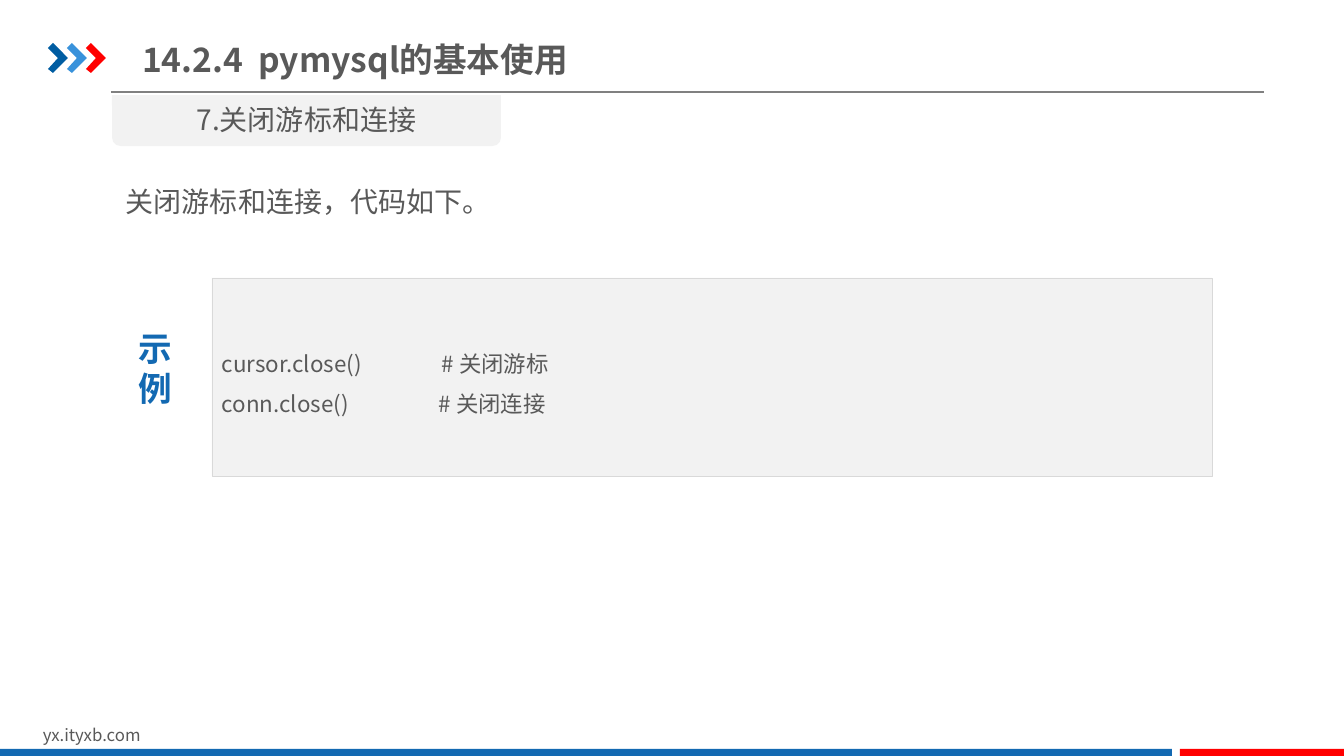
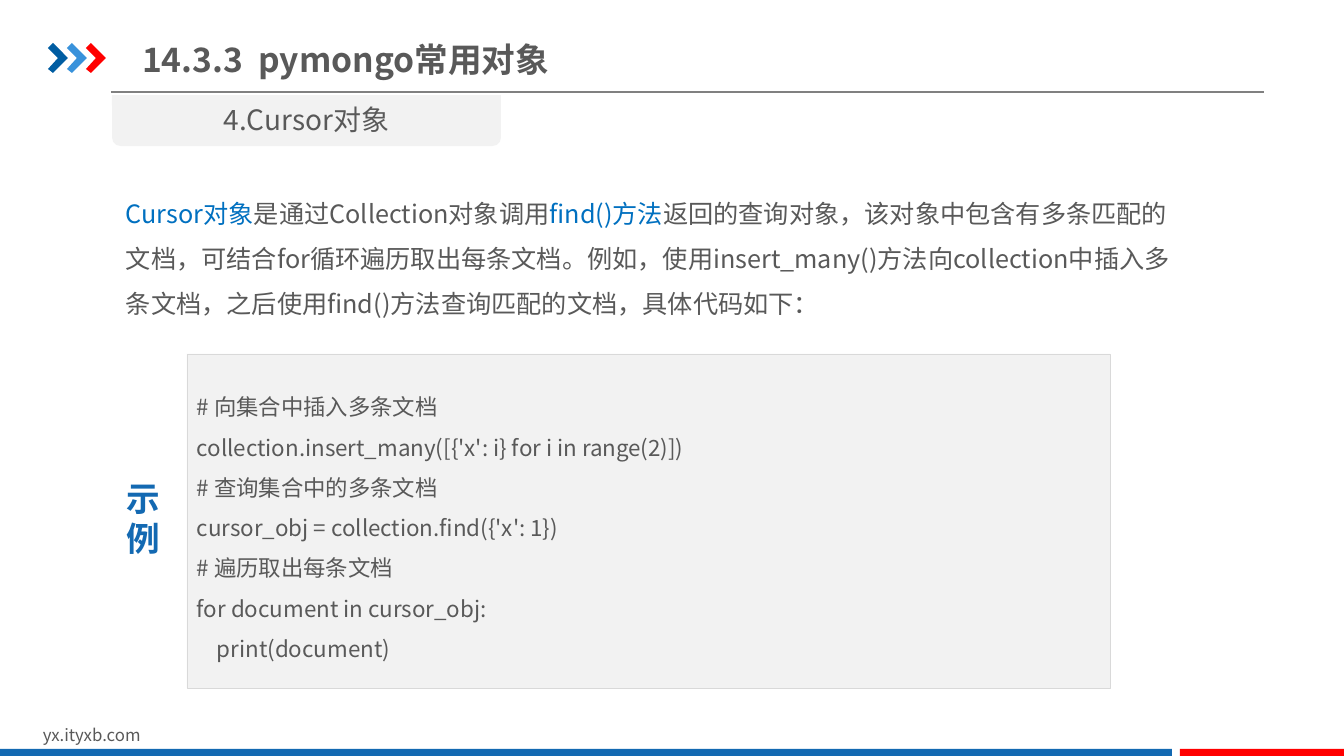
from dataclasses import dataclass

from lxml import etree
from pptx import Presentation
from pptx.dml.color import RGBColor
from pptx.enum.shapes import MSO_CONNECTOR, MSO_SHAPE
from pptx.enum.text import MSO_ANCHOR, MSO_AUTO_SIZE, PP_ALIGN
from pptx.oxml.ns import qn
from pptx.util import Emu, Pt

EMU_PER_PX = 914400 / 100.8
FONT = "Noto Sans CJK SC"

RECTANGLE = MSO_SHAPE.RECTANGLE
ROUND_TOP = MSO_SHAPE.ROUND_2_SAME_RECTANGLE
STRAIGHT = MSO_CONNECTOR.STRAIGHT
TOP, MIDDLE = MSO_ANCHOR.TOP, MSO_ANCHOR.MIDDLE
LEFT, CENTER = PP_ALIGN.LEFT, PP_ALIGN.CENTER
NO_AUTOSIZE = MSO_AUTO_SIZE.NONE

TEXT_GRAY = RGBColor(0x59, 0x59, 0x59)
PANEL_GRAY = RGBColor(0xF2, 0xF2, 0xF2)
BORDER_GRAY = RGBColor(0xD9, 0xD9, 0xD9)
RULE_GRAY = RGBColor(0x80, 0x80, 0x80)
BRIGHT_BLUE = RGBColor(0x13, 0x69, 0xB2)
TERM_BLUE = RGBColor(0x00, 0x70, 0xC0)
DARK_BLUE = RGBColor(0x00, 0x5D, 0xA2)
LIGHT_BLUE = RGBColor(0x39, 0x92, 0xDB)
RED = RGBColor(0xFF, 0x00, 0x00)

CHEVRON_OUTLINE = ((48, 48), (53, 43), (68, 58), (53, 73), (48, 69), (58, 58))
CHEVRON_COLORS = (DARK_BLUE, LIGHT_BLUE, RED)
CHEVRON_STEP = 19


@dataclass(frozen=True)
class Area:
    left: int
    top: int
    width: int
    height: int

    def emu(self) -> tuple:
        return tuple(px(n) for n in (self.left, self.top, self.width, self.height))


@dataclass(frozen=True)
class Span:
    text: str
    color: RGBColor = TEXT_GRAY


@dataclass(frozen=True)
class Lesson:
    title: str
    topic: str
    intro: tuple
    intro_size: int
    intro_area: Area
    code: tuple
    code_area: Area
    label_area: Area


TITLE_AREA = Area(132, 29, 545, 61)
TAB_AREA = Area(112, 95, 389, 51)
TOPIC_AREA = Area(112, 98, 389, 44)
FOOTER_AREA = Area(33, 720, 321, 30)
BANDS = ((Area(0, 749, 1172, 7), BRIGHT_BLUE), (Area(1180, 749, 164, 7), RED))

LESSONS = (
    Lesson(
        title="14.2.4  pymysql的基本使用",
        topic="7.关闭游标和连接",
        intro=(Span("关闭游标和连接，代码如下。"),),
        intro_size=20,
        intro_area=Area(116, 163, 1065, 62),
        code=(
            "cursor.close()                # 关闭游标",
            "conn.close()                  # 关闭连接",
        ),
        code_area=Area(212, 278, 1000, 198),
        label_area=Area(112, 323, 87, 97),
    ),
    Lesson(
        title="14.3.3  pymongo常用对象",
        topic="4.Cursor对象",
        intro=(
            Span("Cursor对象", TERM_BLUE),
            Span("是通过Collection对象调用"),
            Span("find()方法", TERM_BLUE),
            Span(
                "返回的查询对象，该对象中包含有多条匹配的文档，可结合for循环遍历取出每条文档。"
                "例如，使用insert_many()方法向collection中插入多条文档，"
                "之后使用find()方法查询匹配的文档，具体代码如下："
            ),
        ),
        intro_size=18,
        intro_area=Area(116, 178, 1079, 153),
        code=(
            "# 向集合中插入多条文档",
            "collection.insert_many([{'x': i} for i in range(2)])",
            "# 查询集合中的多条文档",
            "cursor_obj = collection.find({'x': 1})",
            "# 遍历取出每条文档",
            "for document in cursor_obj:",
            "    print(document)",
        ),
        code_area=Area(187, 354, 923, 334),
        label_area=Area(101, 473, 85, 97),
    ),
)


def px(length: int) -> Emu:
    return Emu(round(length * EMU_PER_PX))


def write_text(box, paragraphs, *, size: int, bold: bool = False, align=LEFT,
               anchor=TOP, spacing: float = 1.0) -> None:
    frame = box.text_frame
    frame.word_wrap = True
    frame.auto_size = NO_AUTOSIZE
    frame.vertical_anchor = anchor
    for index, spans in enumerate(paragraphs):
        para = frame.add_paragraph() if index else frame.paragraphs[0]
        para.alignment = align
        para.line_spacing = spacing
        for span in spans:
            run = para.add_run()
            run.text = span.text
            run.font.size = Pt(size)
            run.font.bold = bold
            run.font.color.rgb = span.color
            run.font.name = FONT
            east_asian = etree.SubElement(run.font._element, qn("a:ea"))
            east_asian.set("typeface", FONT)


def add_text(page, area: Area, paragraphs, **text_format) -> None:
    write_text(page.shapes.add_textbox(*area.emu()), paragraphs, **text_format)


def paint(shape, fill: RGBColor) -> None:
    shape.shadow.inherit = False
    shape.fill.solid()
    shape.fill.fore_color.rgb = fill
    shape.line.fill.background()


def add_block(page, area: Area, fill: RGBColor, kind=RECTANGLE):
    block = page.shapes.add_shape(kind, *area.emu())
    paint(block, fill)
    return block


def add_chevrons(page) -> None:
    for index, color in enumerate(CHEVRON_COLORS):
        points = [(px(x + index * CHEVRON_STEP), px(y)) for x, y in CHEVRON_OUTLINE]
        builder = page.shapes.build_freeform(*points[0])
        builder.add_line_segments(points[1:], close=True)
        paint(builder.convert_to_shape(), color)


def add_frame(page, title: str) -> None:
    rule = page.shapes.add_connector(STRAIGHT, px(111), px(92), px(1264), px(92))
    rule.line.color.rgb = RULE_GRAY
    rule.line.width = Pt(0.75)
    etree.SubElement(rule._element.spPr, qn("a:effectLst"))
    add_chevrons(page)
    for area, color in BANDS:
        add_block(page, area, color)
    add_text(page, FOOTER_AREA, [[Span("yx.ityxb.com")]], size=12)
    heading = page.shapes.title
    heading.left, heading.top, heading.width, heading.height = TITLE_AREA.emu()
    write_text(heading, [[Span(title)]], size=24, bold=True, anchor=MIDDLE)


def add_topic(page, topic: str) -> None:
    tab = add_block(page, TAB_AREA, PANEL_GRAY, ROUND_TOP)
    tab.rotation = 180
    add_text(page, TOPIC_AREA, [[Span(topic)]], size=20, align=CENTER)


def add_example(page, lesson: Lesson) -> None:
    panel = add_block(page, lesson.code_area, PANEL_GRAY)
    panel.line.color.rgb = BORDER_GRAY
    panel.line.width = Pt(0.25)
    write_text(panel, [[Span(line)] for line in lesson.code], size=16,
               anchor=MIDDLE, spacing=1.5)
    add_text(page, lesson.label_area, [[Span(letter, BRIGHT_BLUE)] for letter in "示例"],
             size=24, bold=True, align=CENTER)


def add_lesson(deck, lesson: Lesson) -> None:
    page = deck.slides.add_slide(deck.slide_layouts.get_by_name("Title Only"))
    add_frame(page, lesson.title)
    add_topic(page, lesson.topic)
    add_text(page, lesson.intro_area, [lesson.intro], size=lesson.intro_size, spacing=1.5)
    add_example(page, lesson)


def main() -> None:
    deck = Presentation()
    deck.slide_width, deck.slide_height = px(1344), px(756)
    for lesson in LESSONS:
        add_lesson(deck, lesson)
    deck.save("out.pptx")


if __name__ == "__main__":
    main()
